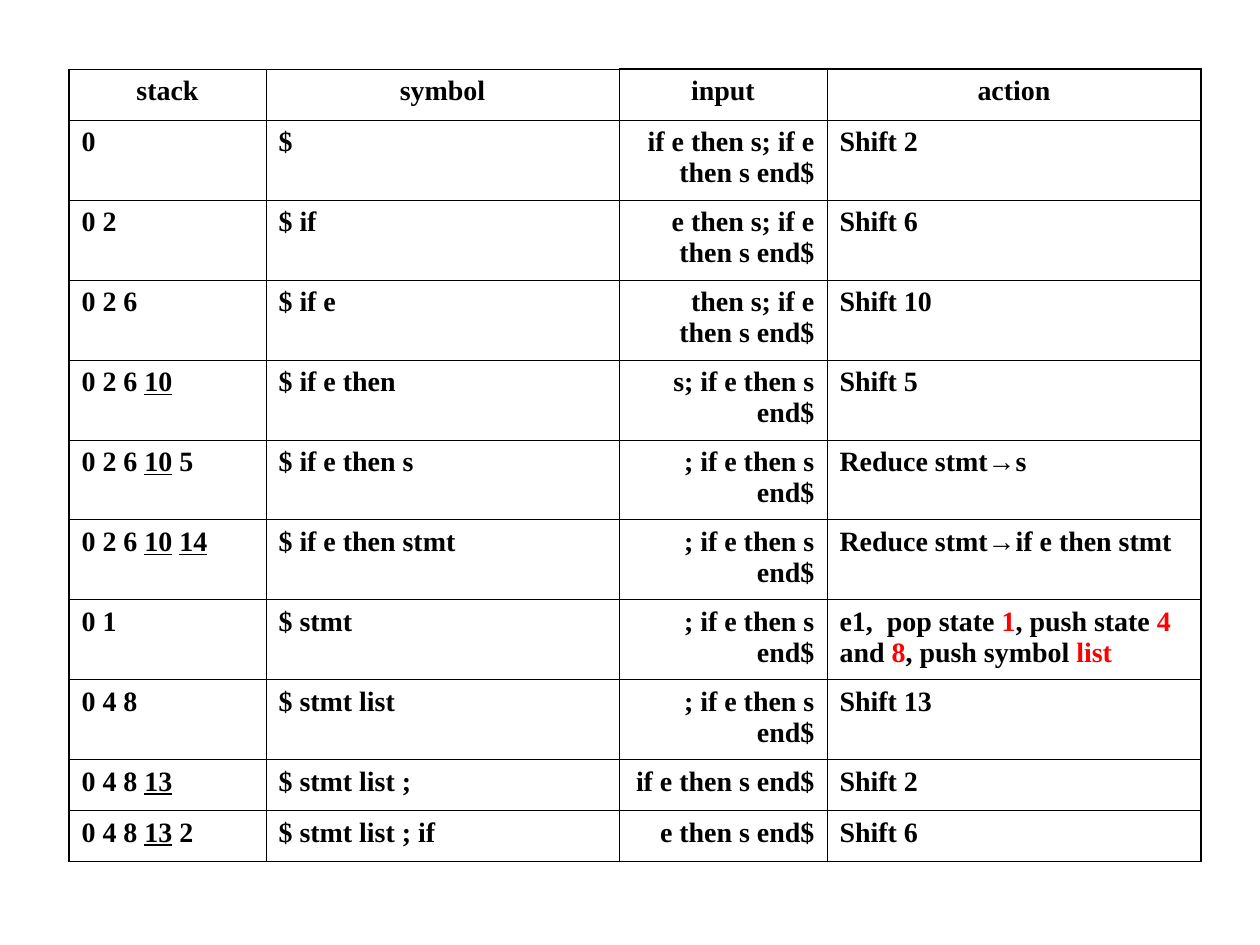
"""Build a slide with the trace table of a shift-reduce parser."""
from lxml.etree import SubElement as Sub
from pptx import Presentation as Deck
from pptx.dml.color import RGBColor as Rgb
from pptx.enum.text import PP_ALIGN as Align
from pptx.oxml.ns import qn
from pptx.util import Pt

HUES = {"ink": "000000", "mark": "FF0000"}
BASE = {"name": "Times New Roman", "size": Pt(16), "bold": True, "hue": "ink"}
MARKS = {"_": {"underline": True}, "*": {"hue": "mark"}}
ARROW = {"name": "Arial"}
THIN, THICK = Pt(0.45), Pt(1.08)
COLS = [197, 353, 208, 374]
ROWS = [51] + [80] * 8 + [51] * 2
SIDES = [Align.LEFT, Align.LEFT, Align.RIGHT, Align.LEFT]
TRACE = [
    ["stack", "symbol", "input", "action"],
    ["0", "$", "if e then s; if e then s end$", "Shift 2"],
    ["0 2", "$ if", "e then s; if e then s end$", "Shift 6"],
    ["0 2 6", "$ if e", "then s; if e then s end$", "Shift 10"],
    ["0 2 6 |_10", "$ if e then", "s; if e then s end$", "Shift 5"],
    ["0 2 6 |_10| 5", "$ if e then s", "; if e then s end$",
     "Reduce stmt|→|s"],
    ["0 2 6 |_10| |_14", "$ if e then stmt", "; if e then s end$",
     "Reduce stmt|→|if e then stmt"],
    ["0 1", "$ stmt", "; if e then s end$",
     "e1,  pop state |*1|, push state |*4| and |*8|, push symbol|* list"],
    ["0 4 8", "$ stmt list", "; if e then s end$", "Shift 13"],
    ["0 4 8 |_13", "$ stmt list ;", "if e then s end$", "Shift 2"],
    ["0 4 8 |_13| 2", "$ stmt list ; if", "e then s end$", "Shift 6"],
]


def px(num):
    return round(num * 914400 / 126)


class Page:
    def __init__(self, deck):
        self.base = BASE
        self.slide = deck.slides.add_slide(deck.slide_layouts[6])

    def text(self, para, marked, side):
        para.alignment = side
        for part in marked.split("|"):
            look = ARROW if part == "→" else MARKS.get(part[0], {})
            run = para.add_run()
            run.text = part[1:] if part[0] in MARKS else part
            style = {**self.base, **look}
            run.font.color.rgb = Rgb.from_string(HUES[style.pop("hue")])
            for key, value in style.items():
                setattr(run.font, key, value)

    def edges(self, cell, widths):
        props = cell._tc.get_or_add_tcPr()
        for side, width in widths.items():
            line = Sub(props, qn(f"a:ln{side}"), w=str(int(width)))
            fill = Sub(line, qn("a:solidFill"))
            Sub(fill, qn("a:srgbClr"), val=HUES["ink"])

    def table(self, left, top, cols, rows, data):
        frame = self.slide.shapes.add_table(
            len(rows), len(cols), px(left), px(top),
            px(sum(cols)), px(sum(rows)))
        grid = frame.table
        grid.first_row = grid.horz_banding = False
        for col, width in zip(grid.columns, cols):
            col.width = px(width)
        for row, height in zip(grid.rows, rows):
            row.height = px(height)
        last = len(cols) - 1
        for r, line in enumerate(data):
            for c, words in enumerate(line):
                cell = grid.cell(r, c)
                self.edges(cell, {
                    "L": THICK if c == 0 else THIN,
                    "R": THICK if c == last else THIN,
                    "T": THICK if r == 0 and c > 1 else THIN,
                    "B": THIN})
                cell.fill.background()
                side = SIDES[c] if r else Align.CENTER
                self.text(cell.text_frame.paragraphs[0], words, side)


def main():
    deck = Deck()
    deck.slide_width, deck.slide_height = px(1260), px(945)
    Page(deck).table(69, 69, COLS, ROWS, TRACE)
    deck.save("out.pptx")


if __name__ == "__main__":
    main()
